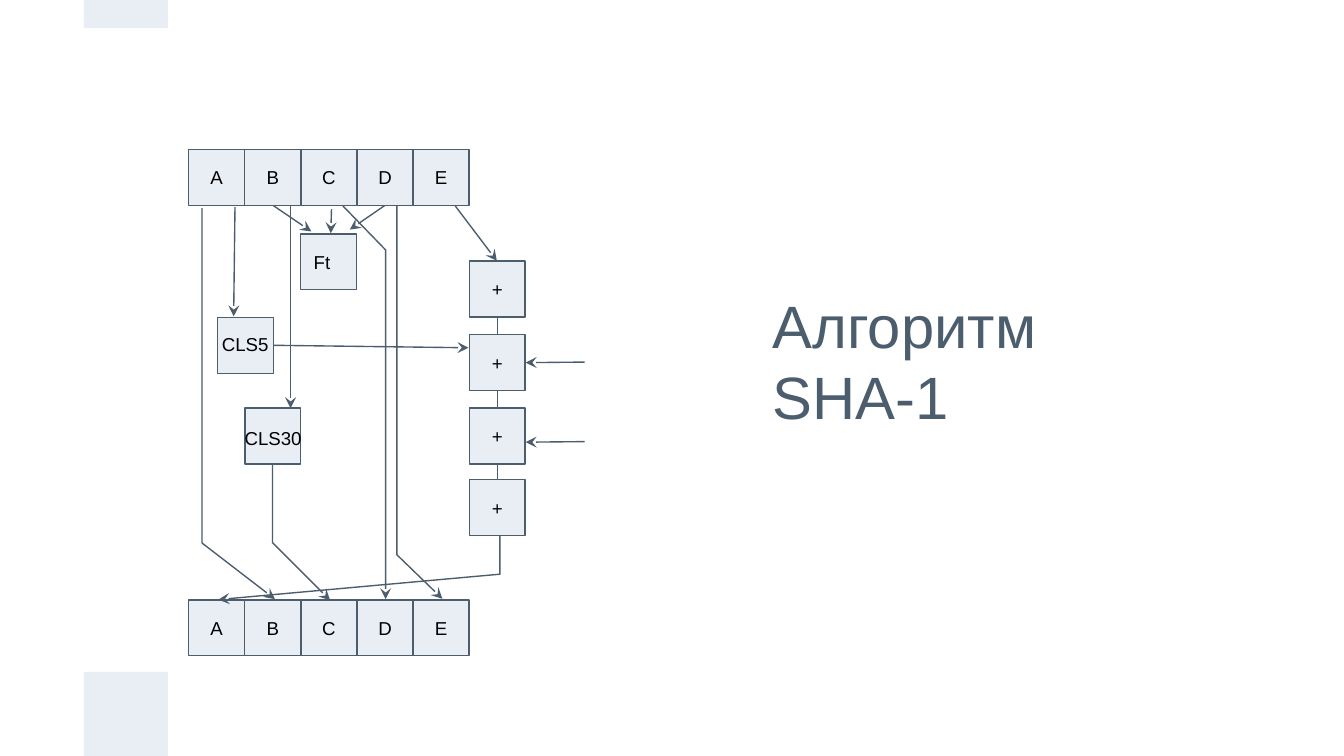
from lxml.etree import SubElement
from pptx import Presentation
from pptx.dml.color import RGBColor
from pptx.enum.shapes import MSO_CONNECTOR as CONN, MSO_SHAPE as SHAPE
from pptx.enum.text import MSO_ANCHOR as ANCHOR, PP_ALIGN as ALIGN
from pptx.oxml.ns import qn
from pptx.util import Pt

INK, PALE, BLACK = "4C5D6E", "E9EDF4", "000000"
CELL, STEP, LEFT = 30, 30.06, 101.1
TOP, BOTTOM = 80, 321.4
ADD_X = LEFT + 5 * STEP
rgb = RGBColor.from_string

prs = Presentation()
prs.slide_width, prs.slide_height = Pt(720), Pt(405)
s = prs.slides.add_slide(prs.slide_layouts[5])


def write(sp, text, size, color, align, anchor):
    tf = sp.text_frame
    fmt = {"word_wrap": True, "vertical_anchor": anchor}
    fmt.update({f"margin_{side}": Pt(7.2) for side in ("left", "right", "top", "bottom")})
    for name, value in fmt.items():
        setattr(tf, name, value)
    p = tf.paragraphs[0]
    p.alignment = align
    r = p.add_run()
    r.text = text
    for name, value in {"name": "Arial", "size": Pt(size)}.items():
        setattr(r.font, name, value)
    r.font.color.rgb = rgb(color)


title = s.shapes.title
for name, value in {"left": 406.8, "top": 61.2, "width": 223.2, "height": 263.5}.items():
    setattr(title, name, Pt(value))
write(title, "Алгоритм SHA-1", 32, INK, ALIGN.LEFT, ANCHOR.MIDDLE)

for y, h in [(360, 45), (0, 15)]:
    sp = s.shapes.add_shape(SHAPE.RECTANGLE, Pt(45), Pt(y), Pt(45), Pt(h))
    sp.shadow.inherit = False
    sp.fill.solid()
    sp.fill.fore_color.rgb = rgb(PALE)
    sp.line.fill.background()

boxes = [(LEFT + i * STEP, y, c) for y in (TOP, BOTTOM) for i, c in enumerate("ABCDE")]
boxes += [(ADD_X, y, "+") for y in (139.8, 179.3, 218.7, 257)]
boxes += [(131.2, 218.7, ""), (116.6, 170.1, ""), (161, 125.3, "Ft")]
for x, y, text in boxes:
    sp = s.shapes.add_shape(SHAPE.RECTANGLE, Pt(x), Pt(y), Pt(CELL), Pt(CELL))
    sp.shadow.inherit = False
    sp.fill.solid()
    sp.fill.fore_color.rgb = rgb(PALE)
    sp.line.color.rgb = rgb(INK)
    sp.line.width = Pt(0.75)
    if text:
        align = ALIGN.LEFT if text == "Ft" else ALIGN.CENTER
        write(sp, text, 10, BLACK, align, ANCHOR.MIDDLE)

arrows = [
    [(108.2, 111.5), (108.2, 290.9), (147.3, 321)],
    [(267.8, 287), (267.8, 307.6), (117, 321.2)],
    [(212.6, 110.2), (212.6, 297.2), (237, 320.8)],
    [(146, 248.7), (146, 290.8), (176.8, 321.6)],
    [(146.6, 185), (251, 186.3)],
    [(183.6, 110.2), (206.6, 133.9), (206.6, 321)],
    [(125.9, 111), (125.2, 169.5)],
    [(146.5, 110.2), (166.8, 124)],
    [(177.6, 112), (177.2, 125)],
    [(206, 110.2), (187.4, 123)],
    [(243.8, 110.2), (266.2, 139.8)],
    [(313.2, 194), (281.6, 194.3)],
    [(313.2, 236.6), (281.6, 236.9)],
    [(155.7, 110.2), (155.7, 218.7)],
]
links = [[(266.4, a), (266.4, b)] for a, b in [(169.8, 179.3), (209.3, 218.7), (248.7, 257)]]
for pts in arrows + links:
    pts_emu = [(Pt(x), Pt(y)) for x, y in pts]
    if len(pts) == 2:
        sp = s.shapes.add_connector(CONN.STRAIGHT, *pts_emu[0], *pts_emu[1])
    else:
        fb = s.shapes.build_freeform(*pts_emu[0])
        fb.add_line_segments(pts_emu[1:], close=False)
        sp = fb.convert_to_shape()
        sp.fill.background()
    sp.line.color.rgb = rgb(INK)
    sp.line.width = Pt(0.75)
    spPr = sp._element.spPr
    if pts in arrows:
        SubElement(spPr.find(qn("a:ln")), qn("a:tailEnd"), type="stealth")
    SubElement(spPr, qn("a:effectLst"))

for x, y, w, text in [(111.8, 172.4, 42, "CLS5"), (124, 222.8, 48, "CLS30")]:
    sp = s.shapes.add_textbox(Pt(x), Pt(y), Pt(w), Pt(23.8))
    write(sp, text, 10, BLACK, ALIGN.LEFT, ANCHOR.TOP)

prs.save("out.pptx")
